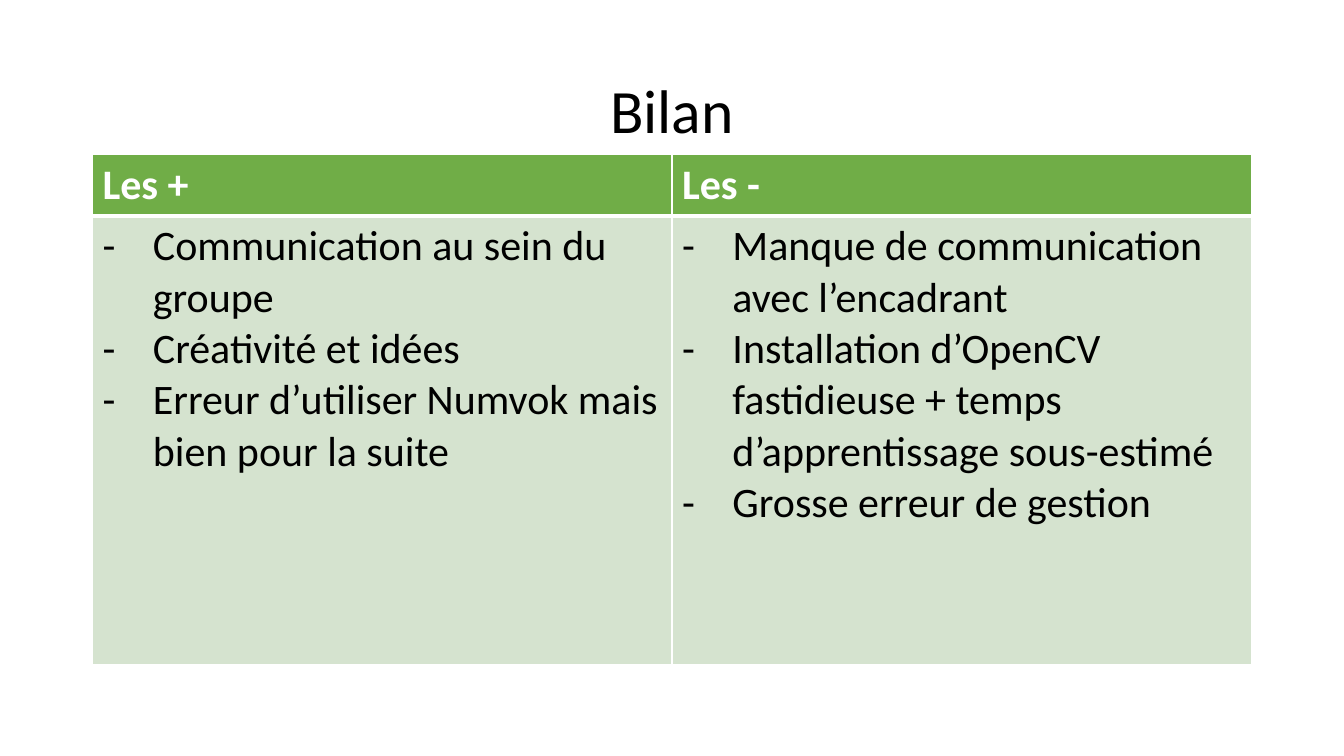
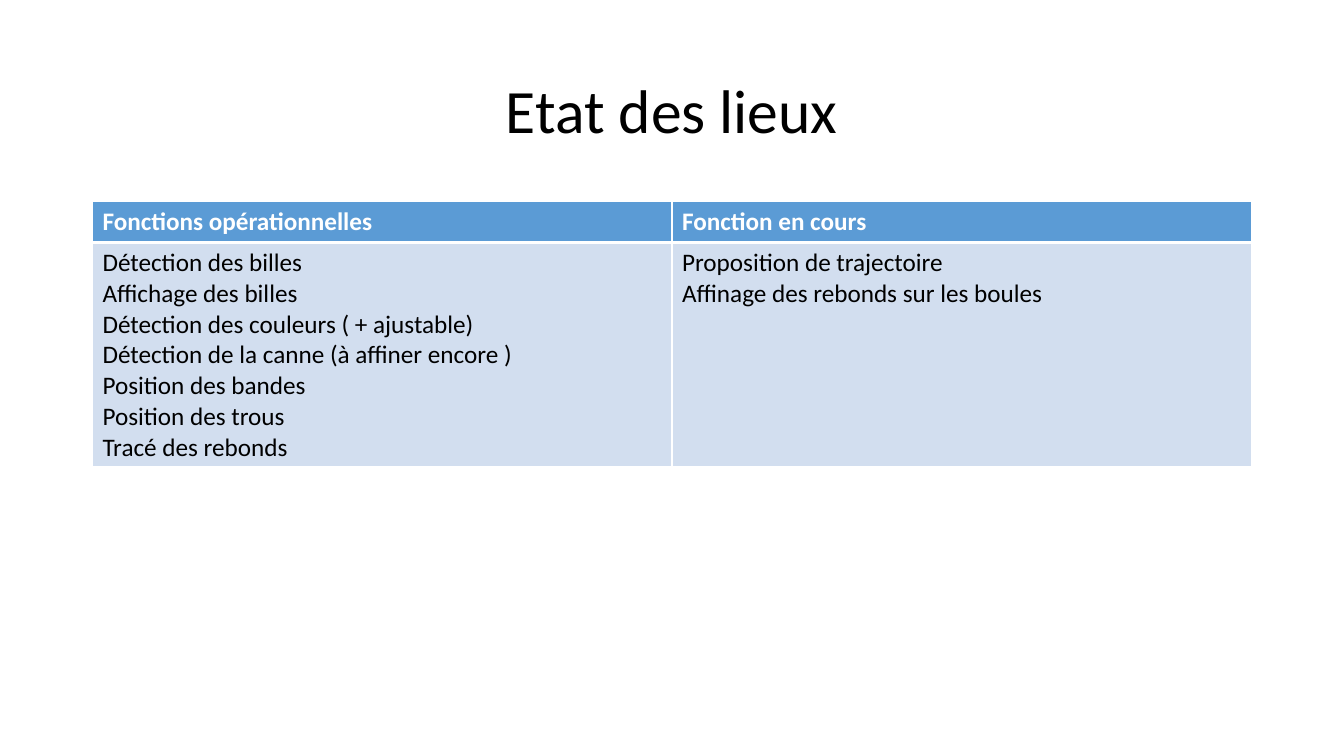
import pptx
import pptx.dml.color
import pptx.enum.text
import pptx.oxml
import pptx.oxml.ns
import pptx.util
from pptx.util import Cm

FONT = "Calibri"
WHITE, BLACK = "FFFFFF", "000000"
GREEN, PALE_GREEN = "70AD47", "D5E3CF"
BLUE, PALE_BLUE = "5B9BD5", "D2DEEF"
LEFT, CONTENT_WIDTH = Cm(2.33), Cm(29.21)
DASH_INDENT = Cm(1.27)
THIN, THICK = 1, 3


def rgb(code):
    return pptx.dml.color.RGBColor.from_string(code)


def add_span(para, text, size, color, bold=False):
    span = para.add_run()
    span.text = text
    span.font.name = FONT
    span.font.size = pptx.util.Pt(size)
    span.font.bold = bold
    span.font.color.rgb = rgb(color)


def add_title(page, text):
    box = page.shapes.add_textbox(LEFT, Cm(1.01), CONTENT_WIDTH, Cm(3.68))
    frame = box.text_frame
    frame.word_wrap = True
    frame.vertical_anchor = pptx.enum.text.MSO_ANCHOR.MIDDLE
    para = frame.paragraphs[0]
    para.alignment = pptx.enum.text.PP_ALIGN.CENTER
    para.line_spacing = 0.9
    add_span(para, text, 44, BLACK)


def add_dash(para):
    """Give the paragraph a dash bullet with a hanging indent."""
    properties = para._p.get_or_add_pPr()
    properties.set("marL", str(DASH_INDENT))
    properties.set("indent", str(-DASH_INDENT))
    namespace = pptx.oxml.ns.nsdecls("a")
    for tag in (f'buFont {namespace} typeface="{FONT}"',
                f'buChar {namespace} char="-"'):
        properties.append(pptx.oxml.parse_xml(f"<a:{tag}/>"))


def set_borders(cell, top, bottom):
    """Draw white borders; call before the fill, which must follow them."""
    properties = cell._tc.get_or_add_tcPr()
    widths = {"L": THIN, "R": THIN, "T": top, "B": bottom}
    for side, width in widths.items():
        properties.append(pptx.oxml.parse_xml(
            f'<a:ln{side} {pptx.oxml.ns.nsdecls("a")} w="{pptx.util.Pt(width)}">'
            f'<a:solidFill><a:srgbClr val="{WHITE}"/></a:solidFill></a:ln{side}>'))


def fill_cell(cell, lines, size, color, fill, bold=False, dashes=False):
    cell.fill.solid()
    cell.fill.fore_color.rgb = rgb(fill)
    frame = cell.text_frame
    for index, line in enumerate(lines):
        para = frame.add_paragraph() if index else frame.paragraphs[0]
        if dashes:
            add_dash(para)
        add_span(para, line, size, color, bold)


def add_comparison(page, top, row_heights, columns, size, accent, tint,
                   dashes=False):
    """Add a table with one heading and one list of lines per column."""
    table = page.shapes.add_table(2, len(columns), LEFT, top, CONTENT_WIDTH,
                                  sum(row_heights)).table
    for row, height in zip(table.rows, row_heights):
        row.height = height
    for index, (heading, lines) in enumerate(columns.items()):
        header, body = table.cell(0, index), table.cell(1, index)
        set_borders(header, THIN, THICK)
        set_borders(body, THICK, THIN)
        fill_cell(header, [heading], size, WHITE, accent, bold=True)
        fill_cell(body, lines, size, BLACK, tint, dashes=dashes)


def add_page(deck, title):
    page = deck.slides.add_slide(deck.slide_layouts[6])
    add_title(page, title)
    return page


def main():
    deck = pptx.Presentation()
    deck.slide_width, deck.slide_height = Cm(33.87), Cm(19.05)

    review = {
        "Les +": [
            "Communication au sein du groupe",
            "Créativité et idées",
            "Erreur d’utiliser Numvok mais bien pour la suite",
        ],
        "Les -": [
            "Manque de communication avec l’encadrant",
            "Installation d’OpenCV fastidieuse + temps d’apprentissage sous-estimé",
            "Grosse erreur de gestion",
        ],
    }
    add_comparison(add_page(deck, "Bilan"), Cm(3.89), (Cm(1.55), Cm(11.31)),
                   review, 30, GREEN, PALE_GREEN, dashes=True)

    progress = {
        "Fonctions opérationnelles": [
            "Détection des billes",
            "Affichage des billes",
            "Détection des couleurs ( + ajustable)",
            "Détection de la canne (à affiner encore )",
            "Position des bandes",
            "Position des trous",
            "Tracé des rebonds",
        ],
        "Fonction en cours": [
            "Proposition de trajectoire",
            "Affinage des rebonds sur les boules",
        ],
    }
    add_comparison(add_page(deck, "Etat des lieux"), Cm(5.08),
                   (Cm(1.03), Cm(5.66)), progress, 18, BLUE, PALE_BLUE)

    deck.save("out.pptx")


if __name__ == "__main__":
    main()
